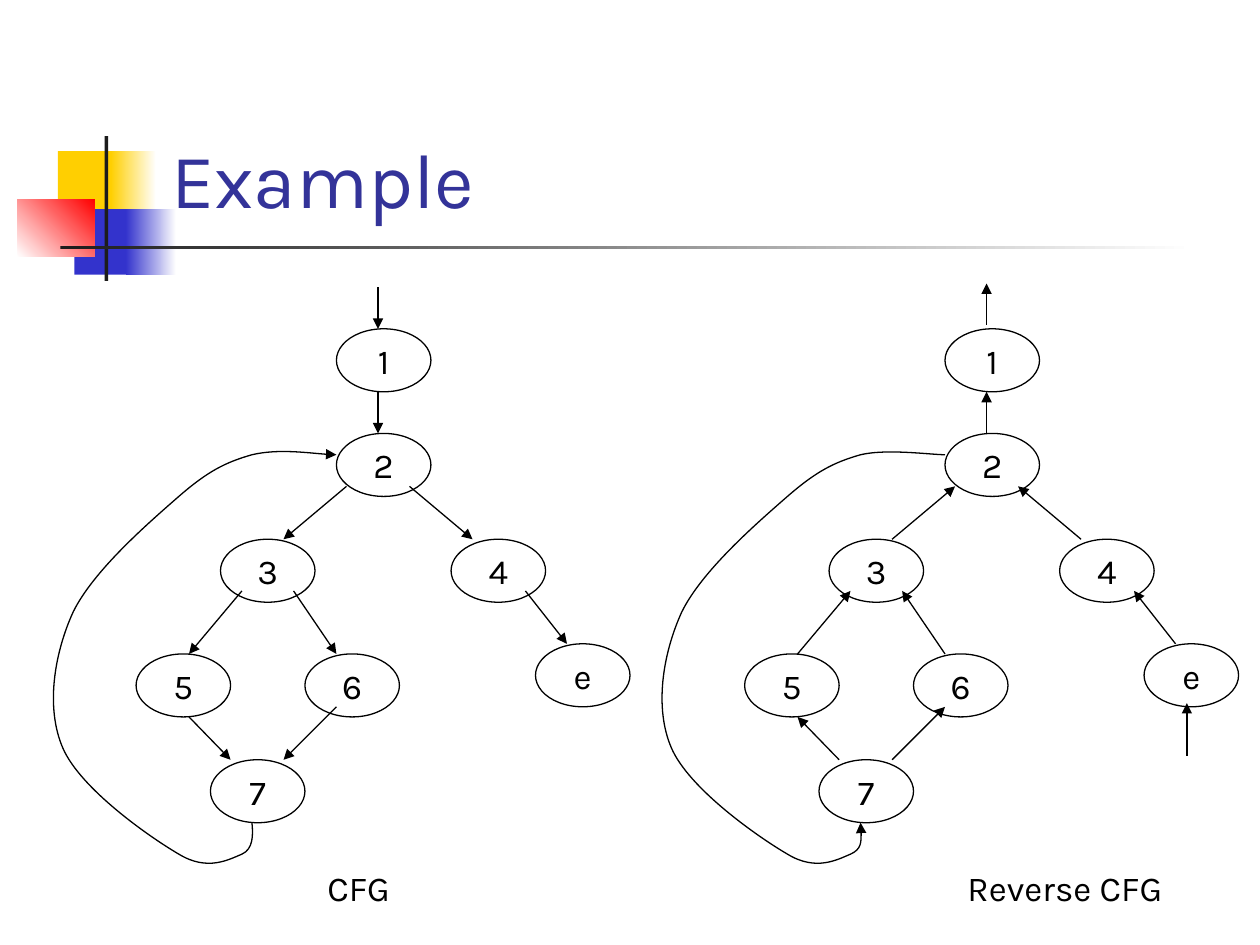
"""Build a slide that compares a control flow graph with its reverse."""
from lxml import etree
from pptx import Presentation
from pptx.dml.color import RGBColor
from pptx.enum.shapes import MSO_CONNECTOR, MSO_SHAPE
from pptx.enum.text import MSO_ANCHOR, MSO_AUTO_SIZE, PP_ALIGN
from pptx.oxml.ns import qn
from pptx.util import Inches, Pt

RECT, OVAL = MSO_SHAPE.RECTANGLE, MSO_SHAPE.OVAL
STRAIGHT = MSO_CONNECTOR.STRAIGHT
MIDDLE, BOTTOM = MSO_ANCHOR.MIDDLE, MSO_ANCHOR.BOTTOM
CENTER, NO_FIT = PP_ALIGN.CENTER, MSO_AUTO_SIZE.NONE
rgb = RGBColor.from_string

NODE_W, NODE_H = 0.75, 0.5
NODES = [("1", 2.67, 2.61), ("2", 2.67, 3.44), ("3", 1.75, 4.28), ("4", 3.58, 4.28),
         ("5", 1.08, 5.19), ("e", 4.25, 5.11), ("7", 1.67, 6.03), ("6", 2.42, 5.19)]
EDGES = [(3, 3.11, 3, 3.44), (2.75, 3.86, 2.25, 4.28), (3.25, 3.86, 3.75, 4.28),
         (4.17, 4.69, 4.5, 5.11), (1.92, 4.69, 1.5, 5.19), (2.33, 4.69, 2.67, 5.19),
         (1.5, 5.69, 1.83, 6.03), (2.67, 5.61, 2.25, 6.03)]
BACK_EDGE = [(2, 6.53), (2.01, 6.63), (2.01, 6.74), (1.92, 6.78),
             (1.82, 6.82), (1.65, 6.92), (1.42, 6.78),
             (1.18, 6.64), (0.64, 6.26), (0.5, 5.94),
             (0.36, 5.62), (0.43, 5.19), (0.58, 4.86),
             (0.74, 4.53), (1.18, 4.15), (1.42, 3.94),
             (1.65, 3.74), (1.79, 3.67), (2, 3.61),
             (2.21, 3.56), (2.56, 3.61), (2.67, 3.61)]
GRAPHS = [("CFG", 0, "a:tailEnd", 2.5, 0.92, [(3, 2.28, 3, 2.61)]),
          ("Reverse CFG", 4.83, "a:headEnd", 7.58, 2,
           [(3, 2.25, 3, 2.58), (4.59, 5.58, 4.59, 6)])]
DECOR = [(0.46, 1.2, 0.48, 0.52, ["FFCF01"], 0),
         (0.88, 1.2, 0.36, 0.52, ["FFCF01", "FFFFFF"], 0),
         (0.59, 1.66, 0.46, 0.52, ["3333CC"], 0),
         (1, 1.66, 0.4, 0.52, ["3333CC", "FFFFFF"], 0),
         (0.14, 1.58, 0.61, 0.46, ["FFFFFF", "FF0000"], 45),
         (0.83, 1.08, 0.03, 1.15, ["1C1C1C"], 0),
         (0.48, 1.95, 9, 0.03, ["1C1C1C", "FFFFFF"], 0)]


def write(sp, text, size, color):
    tf = sp.text_frame
    tf.text = text
    font = tf.paragraphs[0].runs[0].font
    font.name, font.size, font.color.rgb = "Karla", Pt(size), rgb(color)
    return tf


def outline(sp, arrow=None):
    sp.line.color.rgb = rgb("000000")
    sp.line.width = Pt(0.75)
    if arrow:
        ln = sp.line._get_or_add_ln()
        etree.SubElement(ln, qn(arrow), type="triangle")


prs = Presentation()
prs.slide_width, prs.slide_height = Inches(10), Inches(7.5)
s = prs.slides.add_slide(prs.slide_layouts[6])

for x, y, w, h, colors, angle in DECOR:
    sp = s.shapes.add_shape(RECT, Inches(x), Inches(y), Inches(w), Inches(h))
    sp.shadow.inherit = False
    sp.line.fill.background()
    if len(colors) == 1:
        sp.fill.solid()
        sp.fill.fore_color.rgb = rgb(colors[0])
    else:
        sp.fill.gradient()
        sp.fill.gradient_angle = angle
        for stop, color in zip(sp.fill.gradient_stops, colors):
            stop.color.rgb = rgb(color)

sp = s.shapes.add_textbox(Inches(1.26), Inches(0.23), Inches(8.52), Inches(1.6))
tf = write(sp, "Example", 44, "333399")
tf.word_wrap = True
tf.vertical_anchor = BOTTOM

for label, dx, arrow, label_x, label_w, entries in GRAPHS:
    for name, x, y in NODES:
        sp = s.shapes.add_shape(OVAL, Inches(x + dx), Inches(y), Inches(NODE_W), Inches(NODE_H))
        sp.shadow.inherit = False
        sp.fill.background()
        outline(sp)
        tf = write(sp, name, 20, "000000")
        tf.word_wrap = False
        tf.vertical_anchor = MIDDLE
        tf.paragraphs[0].alignment = CENTER

    for x1, y1, x2, y2 in EDGES + entries:
        sp = s.shapes.add_connector(STRAIGHT, Inches(x1 + dx), Inches(y1),
                                    Inches(x2 + dx), Inches(y2))
        outline(sp, arrow)
        etree.SubElement(sp._element.spPr, qn("a:effectLst"))

    points = [(Inches(x + dx), Inches(y)) for x, y in BACK_EDGE]
    fb = s.shapes.build_freeform(*points[0])
    fb.add_line_segments(points[1:], close=False)
    sp = fb.convert_to_shape()
    sp.shadow.inherit = False
    sp.fill.background()
    outline(sp, arrow)
    segments = list(sp._element.iter(qn("a:lnTo")))
    for i in range(0, len(segments), 3):
        curve = etree.Element(qn("a:cubicBezTo"))
        segments[i].addprevious(curve)
        for segment in segments[i:i + 3]:
            curve.append(segment[0])
            segment.getparent().remove(segment)

    sp = s.shapes.add_textbox(Inches(label_x), Inches(6.83), Inches(label_w), Inches(0.43))
    tf = write(sp, label, 20, "000000")
    tf.word_wrap = True
    tf.auto_size = NO_FIT

prs.save("out.pptx")
